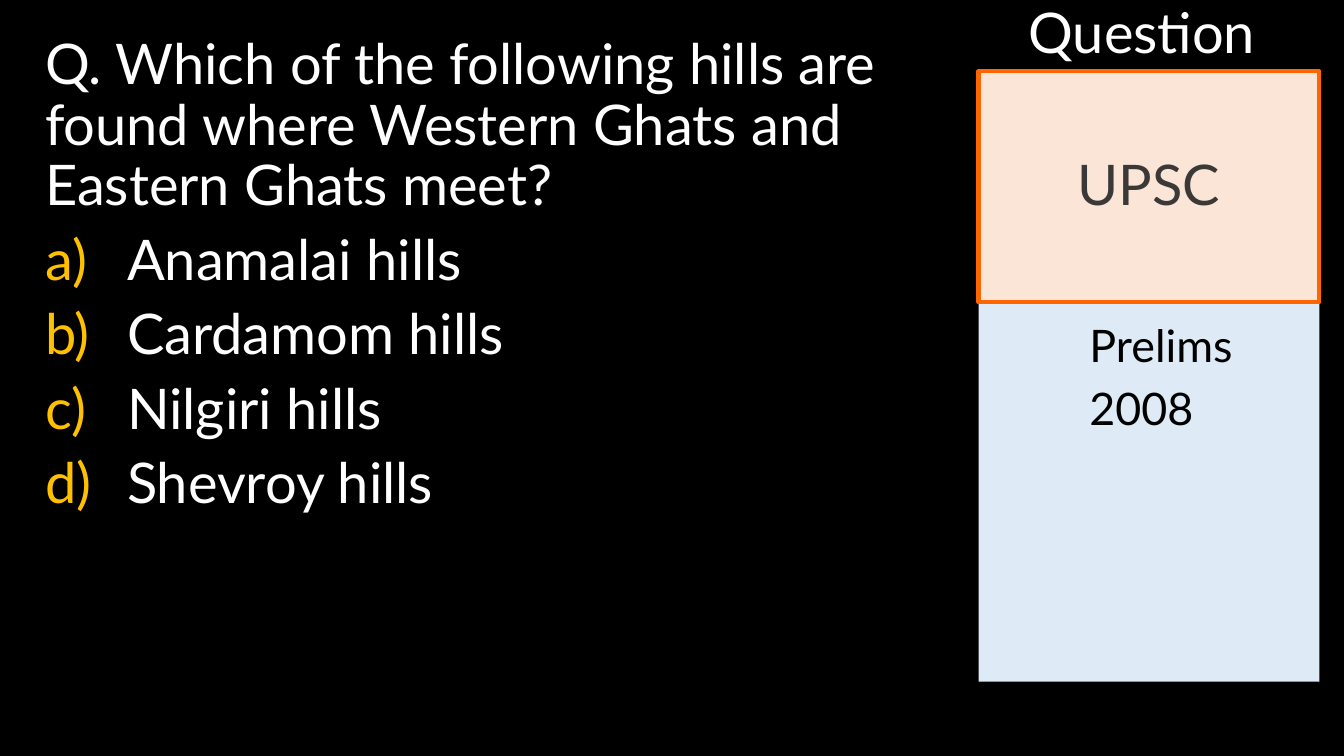
from dataclasses import dataclass

from lxml import etree
from pptx import Presentation
from pptx.dml.color import RGBColor
from pptx.enum.shapes import MSO_SHAPE
from pptx.enum.text import MSO_ANCHOR, PP_ALIGN
from pptx.oxml.ns import qn
from pptx.util import Pt

RECTANGLE = MSO_SHAPE.RECTANGLE
TOP, MIDDLE = MSO_ANCHOR.TOP, MSO_ANCHOR.MIDDLE
LEFT, CENTER = PP_ALIGN.LEFT, PP_ALIGN.CENTER

QUESTION = "Q. Which of the following hills are found where Western Ghats and Eastern Ghats meet?"
OPTIONS = ["Anamalai hills", "Cardamom hills", "Nilgiri hills", "Shevroy hills"]
HEADING = "Question "
EXAM = "UPSC"
SITTING = ["Prelims", "2008"]


@dataclass(frozen=True)
class Theme:
    font: str = "Lato"
    large: int = 40
    medium: int = 32
    background: str = "000000"
    light: str = "FFFFFF"
    dark: str = "000000"
    exam_text: str = "3B3838"
    exam_fill: str = "FBE5D6"
    exam_line: str = "FF6600"
    panel_fill: str = "DEEBF7"
    marker: str = "FFC000"


THEME = Theme()
PAGE_WIDTH, PAGE_HEIGHT = 960, 540
SIDE_LEFT, SIDE_WIDTH = 699, 243.5
HEADING_HEIGHT = 51
EXAM_HEIGHT = 165
PANEL_TOP, PANEL_HEIGHT = 135.4, 351.4
PANEL_INSET_LEFT, PANEL_INSET_TOP = 79.2, 96
OPTION_INDENT = 58.5


def color(code):
    return RGBColor.from_string(code)


def write(box, lines, size, ink, align=LEFT, anchor=TOP):
    frame = box.text_frame
    frame.word_wrap = True
    frame.vertical_anchor = anchor
    frame.text = "\n".join(lines)
    for para in frame.paragraphs:
        para.alignment = align
        para.line_spacing = 0.9
        para.space_before = Pt(10)
        for span in para.runs:
            span.font.name = THEME.font
            span.font.size = Pt(size)
            span.font.color.rgb = color(ink)
    return frame


def add_rectangle(page, top, height, fill, line=None):
    box = page.shapes.add_shape(
        RECTANGLE, Pt(SIDE_LEFT), Pt(top), Pt(SIDE_WIDTH), Pt(height))
    box.shadow.inherit = False
    box.fill.solid()
    box.fill.fore_color.rgb = color(fill)
    if line:
        box.line.color.rgb = color(line)
        box.line.width = Pt(3)
    else:
        box.line.fill.background()
    return box


def add_letter(para):
    properties = para._p.get_or_add_pPr()
    properties.set("marL", str(Pt(OPTION_INDENT)))
    properties.set("indent", str(-Pt(OPTION_INDENT)))
    marker = etree.SubElement(properties, qn("a:buClr"))
    etree.SubElement(marker, qn("a:srgbClr"), val=THEME.marker)
    etree.SubElement(properties, qn("a:buFont"), typeface=THEME.font)
    etree.SubElement(properties, qn("a:buAutoNum"), type="alphaLcParenR")


def main():
    deck = Presentation()
    deck.slide_width, deck.slide_height = Pt(PAGE_WIDTH), Pt(PAGE_HEIGHT)
    page = deck.slides.add_slide(deck.slide_layouts[6])
    page.background.fill.solid()
    page.background.fill.fore_color.rgb = color(THEME.background)

    panel = add_rectangle(page, PANEL_TOP, PANEL_HEIGHT, THEME.panel_fill)
    frame = write(panel, SITTING, THEME.medium, THEME.dark)
    frame.margin_left, frame.margin_top = Pt(PANEL_INSET_LEFT), Pt(PANEL_INSET_TOP)

    quiz = page.shapes.add_textbox(Pt(25.2), Pt(22.5), Pt(669), Pt(464))
    frame = write(quiz, [QUESTION, *OPTIONS], THEME.large, THEME.light)
    for para in frame.paragraphs[1:]:
        add_letter(para)

    exam = add_rectangle(
        page, HEADING_HEIGHT, EXAM_HEIGHT, THEME.exam_fill, THEME.exam_line)
    frame = write(exam, [EXAM], THEME.large, THEME.exam_text, CENTER, MIDDLE)
    frame.paragraphs[0].space_before = Pt(0)

    heading = page.shapes.add_textbox(
        Pt(SIDE_LEFT), Pt(0), Pt(SIDE_WIDTH), Pt(HEADING_HEIGHT))
    write(heading, [HEADING], THEME.large, THEME.light, CENTER)

    deck.save("out.pptx")


if __name__ == "__main__":
    main()
